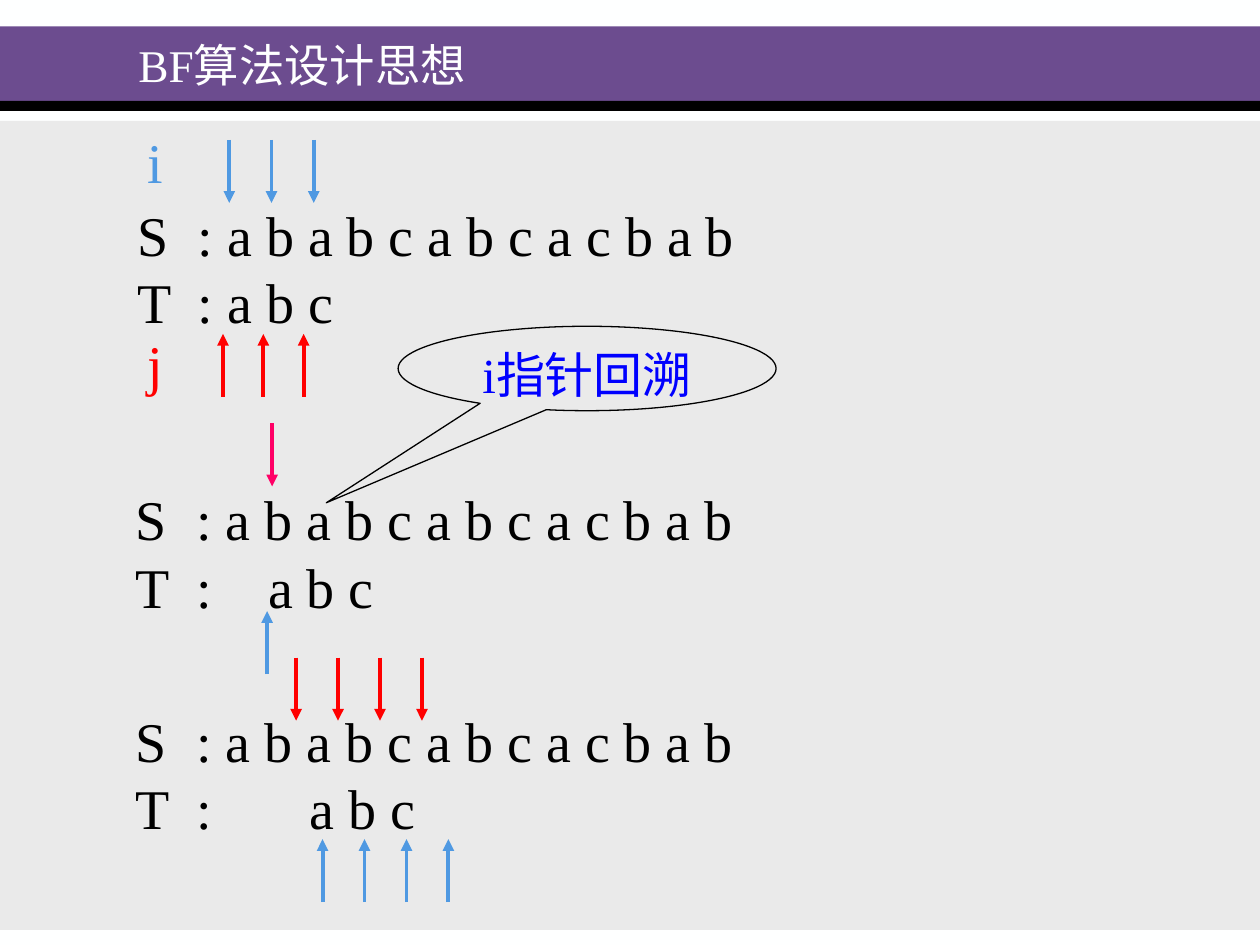
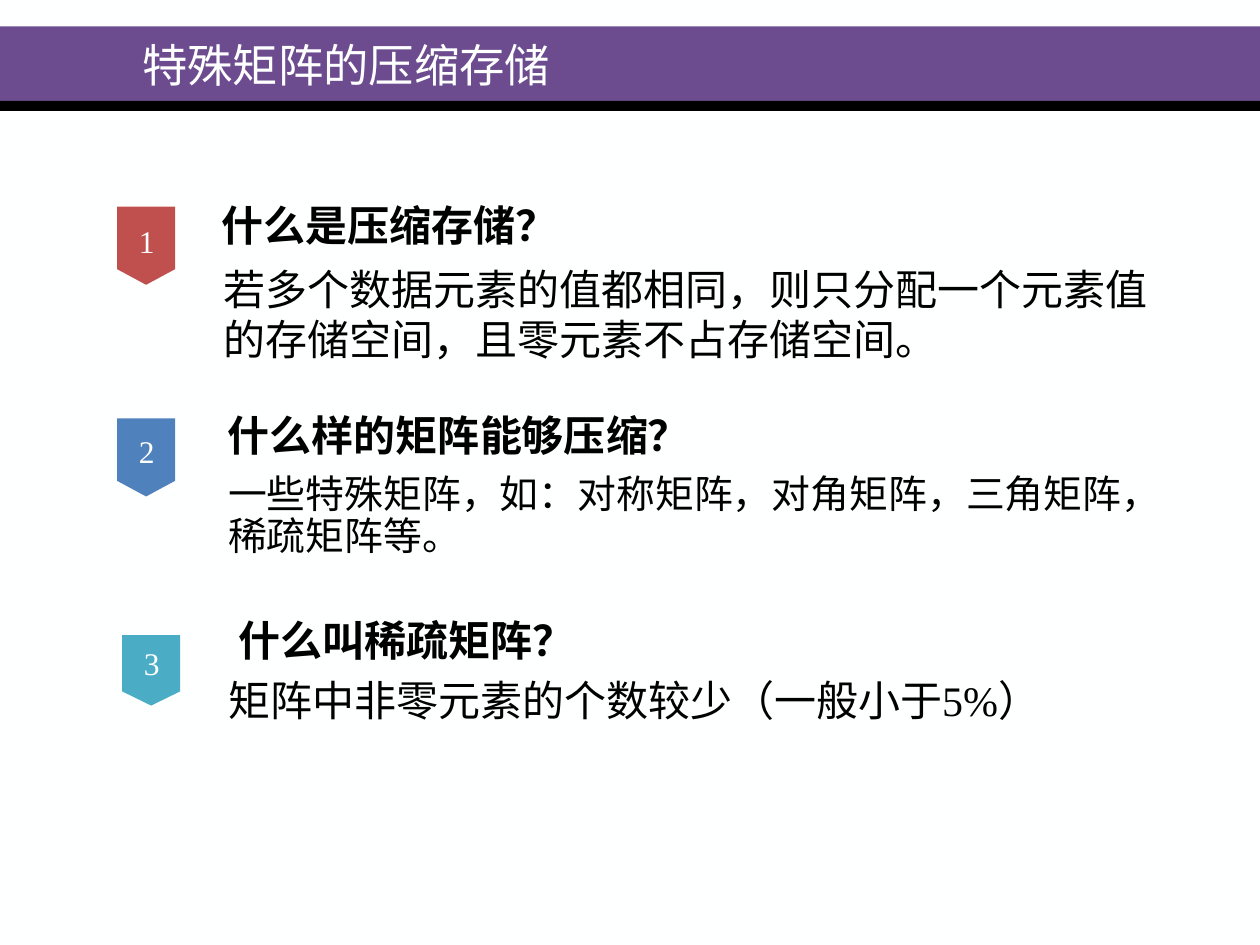
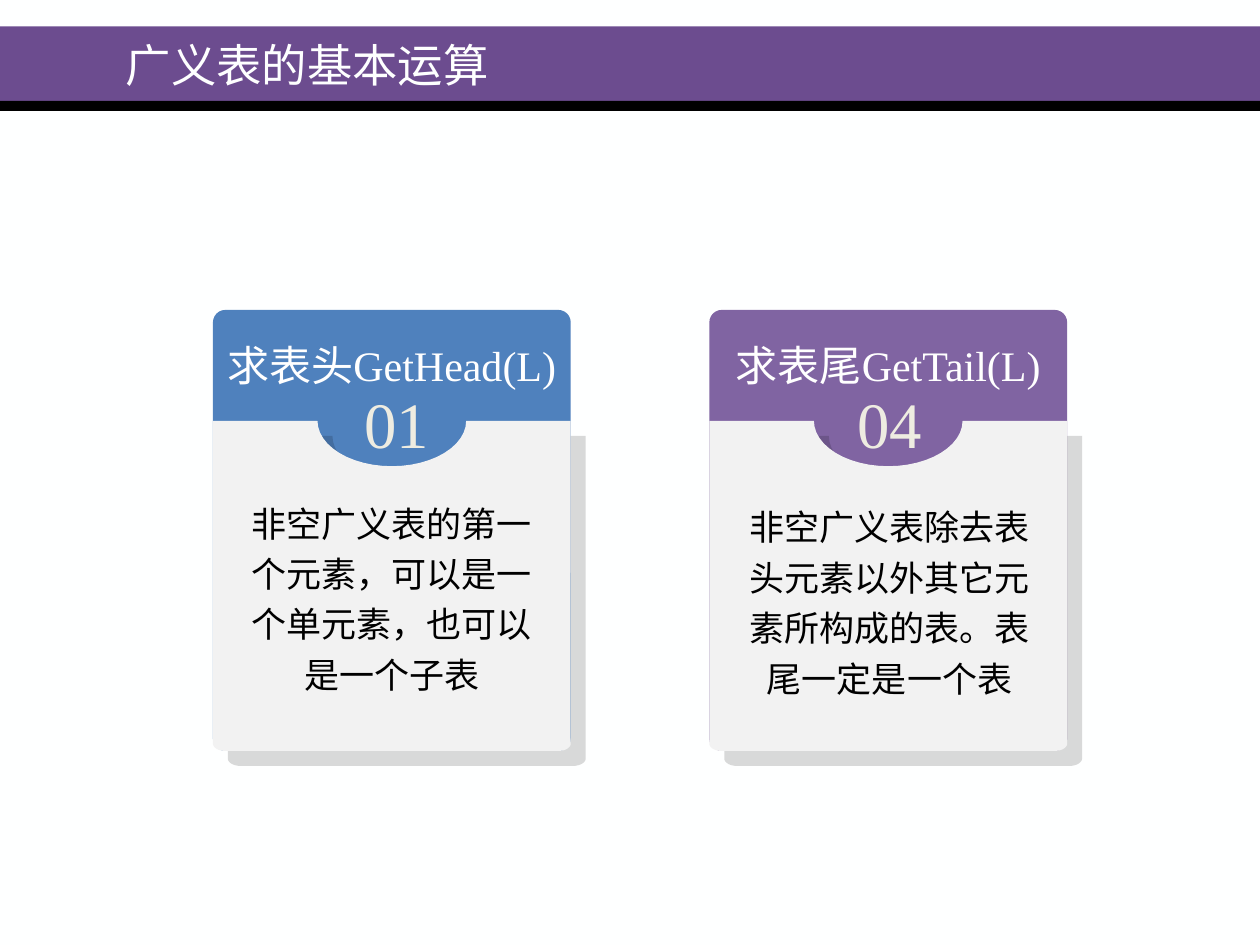
import math

import pptx
import pptx.dml.color
import pptx.enum.dml
import pptx.enum.shapes
import pptx.enum.text
import pptx.oxml
import pptx.oxml.ns
import pptx.util

Inches = pptx.util.Inches
rgb = pptx.dml.color.RGBColor.from_string
MSO = pptx.enum.shapes.MSO_SHAPE
ANCHOR = pptx.enum.text.MSO_ANCHOR
ALIGN = pptx.enum.text.PP_ALIGN
NS = pptx.oxml.ns.nsdecls("a")

FONT = "Times New Roman"
PURPLE, BLACK, PAPER, WHITE = "6C4C8F", "000000", "FEFFFF", "FFFFFF"
SKY, RED, PINK = "4F99E2", "FF0000", "FF0066"
BLUE = "4F81BD"


def write(sp, text, size=24, color=BLACK, bold=False, align=ALIGN.LEFT, anchor=ANCHOR.TOP,
          inset=(0.1, 0.05), wrap=True, spacing=None, tabs=()):
    """Fill the shape's text frame, one paragraph per line of text."""
    tf = sp.text_frame
    tf.word_wrap = wrap
    tf.vertical_anchor = anchor
    tf.margin_left = tf.margin_right = Inches(inset[0])
    tf.margin_top = tf.margin_bottom = Inches(inset[1])
    for i, line in enumerate(text.split("\n")):
        p = tf.paragraphs[0] if i == 0 else tf.add_paragraph()
        p.alignment = align
        if spacing:
            p.line_spacing = spacing
        if tabs:
            stops = "".join(f'<a:tab pos="{Inches(t)}" algn="l"/>' for t in tabs)
            p._p.get_or_add_pPr().append(
                pptx.oxml.parse_xml(f"<a:tabLst {NS}>{stops}</a:tabLst>"))
        r = p.add_run()
        r.text = line
        r.font.name = FONT
        r.font.size = pptx.util.Pt(size)
        r.font.bold = bold
        r.font.color.rgb = rgb(color)


def add(s, box, kind=None, fill=None):
    """Add a text box, or a preset shape without outline, at box in inches."""
    place = [Inches(v) for v in box]
    if kind is None:
        return s.shapes.add_textbox(*place)
    sp = s.shapes.add_shape(kind, *place)
    sp.shadow.inherit = False
    sp.line.fill.background()
    if fill:
        sp.fill.solid()
        sp.fill.fore_color.rgb = rgb(fill)
    else:
        sp.fill.background()
    return sp


prs = pptx.Presentation()
prs.slide_width, prs.slide_height = Inches(10), Inches(7.5)
bg = prs.slide_master.background.fill
bg.solid()
bg.fore_color.rgb = rgb(PAPER)

# Shared bands and titles
slides = []
for title, x in [("BF算法设计思想", 1), ("特殊矩阵的压缩存储", 1.03), ("广义表的基本运算", 0.9)]:
    s = prs.slides.add_slide(prs.slide_layouts[6])
    add(s, (0, 0.21, 10, 0.59), MSO.RECTANGLE, PURPLE)
    add(s, (0, 0.8, 10, 0.08), MSO.RECTANGLE, BLACK)
    write(add(s, (x, 0.26, 8, 0.56)), title, size=25.9, color=PAPER,
          anchor=ANCHOR.MIDDLE, spacing=0.9)
    slides.append(s)

# Slide 1: matching steps
s = slides[0]
add(s, (0, 0.96, 10, 6.42), MSO.RECTANGLE, "EAEAEA")
steps = [  # left, top, pattern line, tab stops
    (0.99, 1.54, "T\t: a b c", (0.48,)),
    (0.98, 3.8, "T\t:\ta b c", (0.48, 1.05)),
    (0.98, 5.56, "T\t:\ta b c", (0.48, 1.38)),
]
for x, y, pattern, tabs in steps:
    write(add(s, (x, y, 7.92, 1.17)), "S\t: a b a b c a b c a c b a b\n" + pattern,
          size=32, tabs=tabs)
for name, y, color in [("i", 0.96, SKY), ("j", 2.57, RED)]:
    write(add(s, (1.07, y, 0.33, 0.64)), name, size=32, color=color)

# Slide 1: pointer arrows
arrows = [  # first x, gap, count, start y, end y, color
    (1.82, 0.335, 3, 1.11, 1.61, SKY),
    (1.77, 0.32, 3, 3.15, 2.65, RED),
    (2.16, 0, 1, 3.36, 3.86, PINK),
    (2.12, 0, 1, 5.35, 4.85, SKY),
    (2.35, 0.333, 4, 5.22, 5.72, RED),
    (2.56, 0.333, 4, 7.16, 6.66, SKY),
]
for first, gap, count, start, end, color in arrows:
    for i in range(count):
        x = Inches(first + i * gap)
        c = s.shapes.add_connector(pptx.enum.shapes.MSO_CONNECTOR.STRAIGHT,
                                   x, Inches(start), x, Inches(end))
        c.line.color.rgb = rgb(color)
        c.line.width = pptx.util.Pt(2.25)
        c.line._get_or_add_ln().append(
            pptx.oxml.parse_xml(f'<a:tailEnd {NS} type="triangle"/>'))
        c._element.spPr.append(pptx.oxml.parse_xml(f"<a:effectLst {NS}/>"))

# Slide 1: callout
sp = add(s, (3.16, 2.59, 3, 0.67), MSO.OVAL_CALLOUT)
sp.adjustments[0], sp.adjustments[1] = -0.69, 1.59
sp.line.color.rgb = rgb(BLACK)
sp.line.width = pptx.util.Pt(0.75)
write(sp, "i指针回溯", size=28, color="0000FF", align=ALIGN.CENTER)

# Slide 2: numbered questions
s = slides[1]
questions = [  # badge box, number top, color, question at, question, answer at, answer, size, spacing
    ((0.93, 1.64, 0.46, 0.62), 1.61, "C0504D", (1.76, 1.58), "什么是压缩存储？", (1.64, 2.02),
     "若多个数据元素的值都相同，则只分配一个元素值的存储空间，且零元素不占存储空间。", 24, None),
    ((0.93, 3.32, 0.46, 0.62), 3.27, BLUE, (1.81, 3.25), "什么样的矩阵能够压缩？", (1.68, 3.7),
     "一些特殊矩阵，如：对称矩阵，对角矩阵，三角矩阵，稀疏矩阵等。", 22.2, 0.9),
    ((0.97, 5.04, 0.46, 0.56), 4.96, "4BACC6", (1.89, 4.88), "什么叫稀疏矩阵？", (1.68, 5.28),
     "矩阵中非零元素的个数较少（一般小于5%）", 24, None),
]
for n, (badge, top, color, q_at, question, a_at, answer, size, spacing) in enumerate(questions, 1):
    add(s, badge, MSO.FLOWCHART_OFFPAGE_CONNECTOR, color)
    write(add(s, (badge[0] - 0.03, top, 0.53, 0.61)), str(n), size=18, color=WHITE,
          align=ALIGN.CENTER, anchor=ANCHOR.MIDDLE)
    write(add(s, (*q_at, 5, 0.4)), question, bold=True, inset=(0, 0))
    write(add(s, (*a_at, 7.88, 1)), answer, size=size, inset=(0.13, 0.07), spacing=spacing)

# Slide 3: operation cards
s = slides[2]
cards = [  # left, color, heading, number, number left, body box, body
    (1.69, BLUE, "求表头GetHead(L)", "01", 2.79, (1.81, 3.87, 2.6, 1.77),
     "非空广义表的第一个元素，可以是一个单元素，也可以是一个子表"),
    (5.63, "8064A2", "求表尾GetTail(L)", "04", 6.7, (5.8, 3.9, 2.52, 1.73),
     "非空广义表除去表头元素以外其它元素所构成的表。表尾一定是一个表"),
]
top, bottom, width = 3.34, 5.96, 2.84
for x, color, heading, number, number_x, box, body in cards:
    sp = add(s, (x, 2.46, width, 3.5), MSO.ROUNDED_RECTANGLE, color)
    sp.adjustments[0] = 0.035
    write(sp, heading, color=WHITE, align=ALIGN.CENTER, inset=(0.1, 0.21), wrap=False)

    # Panel outline: a half-ellipse notch on top, rounded corners below
    arcs = [  # centre x, centre y, radius x, radius y, start and end degrees
        (x + width / 2, top, 0.59, 0.36, 180, 0),
        (x + width - 0.1, bottom - 0.06, 0.1, 0.06, 0, 90),
        (x + 0.1, bottom - 0.06, 0.1, 0.06, 90, 180),
    ]
    points = []
    for cx, cy, rx, ry, a0, a1 in arcs:
        for i in range(25):
            a = math.radians(a0 + (a1 - a0) * i / 24)
            points.append((Inches(cx + rx * math.cos(a)), Inches(cy + ry * math.sin(a))))
        if cy == top:
            points.append((Inches(x + width), Inches(top)))
    fb = s.shapes.build_freeform(Inches(x), Inches(top))
    fb.add_line_segments(points, close=True)
    sp = fb.convert_to_shape()
    sp.fill.solid()
    sp.fill.fore_color.rgb = rgb("F2F2F2")
    sp.line.fill.background()
    sp._element.spPr.append(pptx.oxml.parse_xml(
        f'<a:effectLst {NS}><a:outerShdw blurRad="0" dist="{pptx.util.Pt(12.1)}" dir="2700000" '
        f'algn="tl" rotWithShape="0"><a:srgbClr val="{BLACK}"><a:alpha val="14000"/></a:srgbClr>'
        '</a:outerShdw></a:effectLst>'))

    write(add(s, (number_x, 3.07, 0.72, 0.67)), number, size=37, color="EEECE1",
          align=ALIGN.CENTER, wrap=False, spacing=0.9)
    write(add(s, box), body, size=20, align=ALIGN.CENTER, spacing=1.2)

prs.save("out.pptx")
